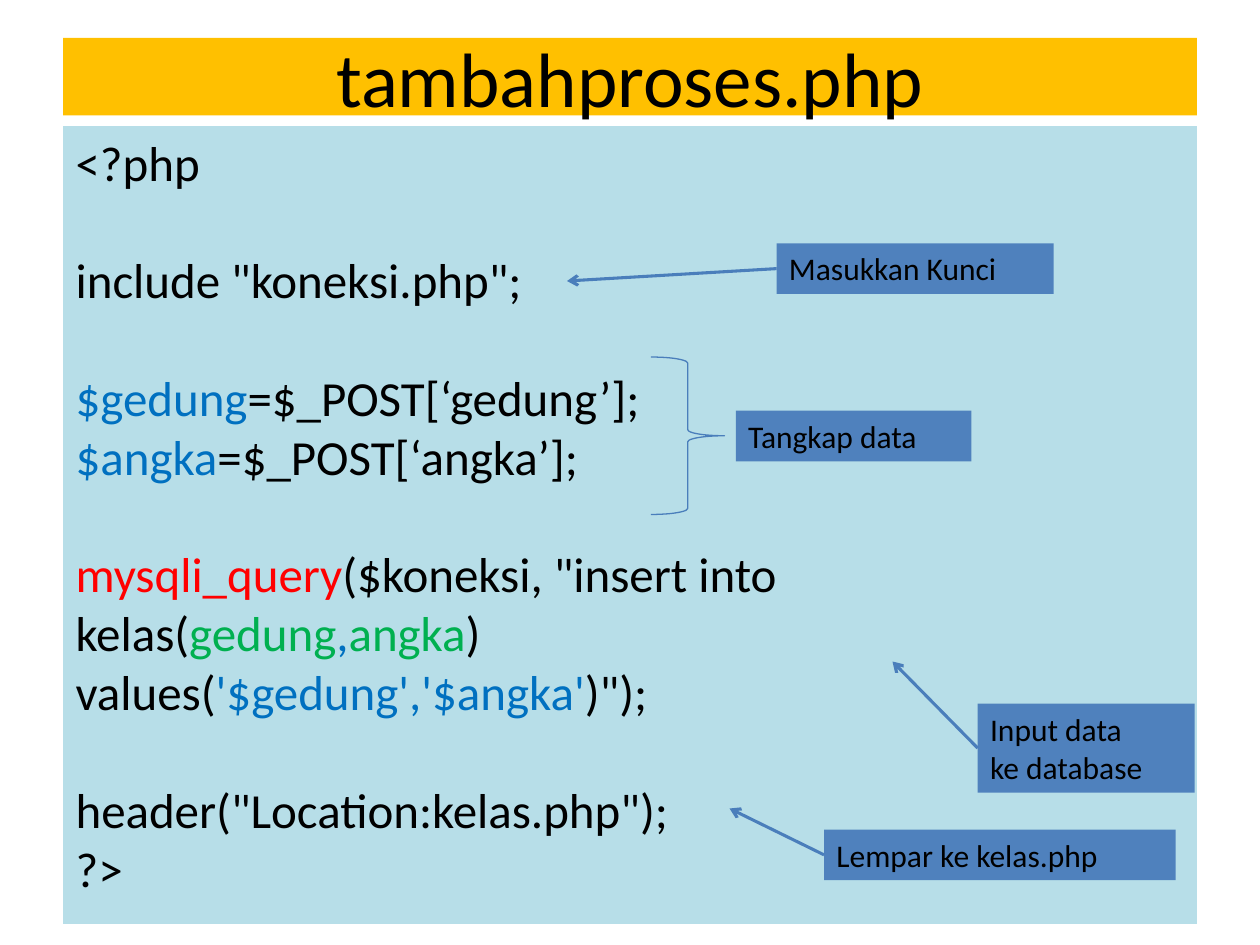
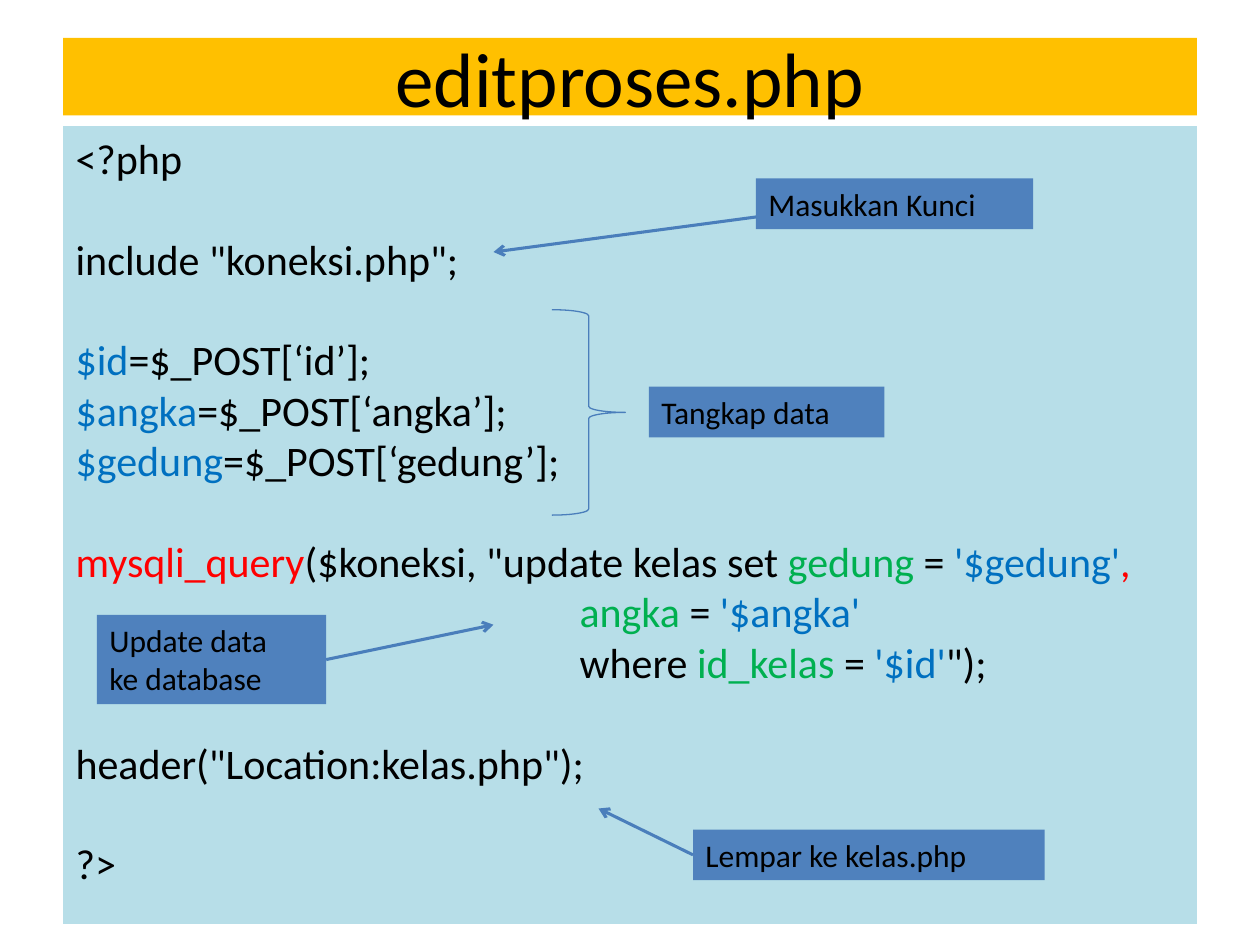
from dataclasses import dataclass

from lxml.etree import SubElement
from pptx import Presentation
from pptx.dml.color import RGBColor
from pptx.enum.shapes import MSO_CONNECTOR as Connector, MSO_SHAPE as Shape
from pptx.enum.text import MSO_ANCHOR as Anchor, MSO_AUTO_SIZE as AutoSize, PP_ALIGN as Align
from pptx.oxml.ns import qn
from pptx.util import Pt


@dataclass(frozen=True)
class Theme:
    font: str = "Calibri"
    ink: str = "000000"
    band: str = "FFC000"
    panel: str = "B7DEE8"
    note: str = "4F81BD"
    line: str = "4A7EBB"
    variable: str = "0070C0"
    function: str = "FF0000"
    column: str = "00B050"
    title_size: int = 44
    note_size: int = 18
    leading: float = 1.2
    arrow_width: float = 1.75
    brace_width: float = 0.75


THEME = Theme()


@dataclass(frozen=True)
class Line:
    spans: tuple
    gap: bool = False
    indent: int = 0


def code(*spans, gap=False, indent=0):
    pairs = tuple((span, THEME.ink) if isinstance(span, str) else span for span in spans)
    return Line(pairs, gap, indent)


def variable(text):
    return text, THEME.variable


def function(text):
    return text, THEME.function


def column(text):
    return text, THEME.column


def capture(name, gap=False):
    return code(variable(f"${name}"), f"=$_POST[‘{name}’];", gap=gap)


OPENING = [code("<?php"), code('include "koneksi.php";', gap=True)]
REDIRECT = code('header("Location:kelas.php");', gap=True)


class CodeDeck:
    def __init__(self, theme):
        self.theme = theme
        self.deck = Presentation()
        self.deck.slide_width, self.deck.slide_height = Pt(720), Pt(540)
        self.page = None

    def colour(self, value):
        return RGBColor.from_string(value)

    def place(self, shape, left, top, width, height, fill):
        shape.left, shape.top = Pt(left), Pt(top)
        shape.width, shape.height = Pt(width), Pt(height)
        shape.fill.solid()
        shape.fill.fore_color.rgb = self.colour(fill)
        frame = shape.text_frame
        frame.word_wrap = True
        frame.auto_size = AutoSize.NONE
        return frame

    def style(self, para, size):
        para.font.name = self.theme.font
        para.font.size = Pt(size)
        para.font.color.rgb = self.colour(self.theme.ink)

    def start(self, title):
        self.page = self.deck.slides.add_slide(self.deck.slide_layouts[1])
        frame = self.place(self.page.shapes.title, 36, 21.6, 648, 44.4, self.theme.band)
        frame.vertical_anchor = Anchor.MIDDLE
        para = frame.paragraphs[0]
        para.text = title
        para.alignment = Align.CENTER
        self.style(para, self.theme.title_size)

    def listing(self, lines, size):
        frame = self.place(self.page.placeholders[1], 36, 72, 648, 456, self.theme.panel)
        for number, line in enumerate(lines):
            para = frame.add_paragraph() if number else frame.paragraphs[0]
            para.space_before = Pt(size * self.theme.leading if line.gap else 0)
            properties = para._p.get_or_add_pPr()
            properties.set("marL", str(Pt(line.indent)))
            properties.set("indent", "0")
            SubElement(properties, qn("a:buNone"))
            self.style(para, size)
            for text, colour in line.spans:
                span = para.add_run()
                span.text = text
                if colour != self.theme.ink:
                    span.font.color.rgb = self.colour(colour)

    def note(self, rows, left, top, width):
        height = 29 if len(rows) == 1 else 51
        box = self.page.shapes.add_textbox(0, 0, 0, 0)
        frame = self.place(box, left, top, width, height, self.theme.note)
        for number, row in enumerate(rows):
            para = frame.add_paragraph() if number else frame.paragraphs[0]
            para.text = row
            self.style(para, self.theme.note_size)
        return box

    def arrow(self, start, end, box=None, side=None):
        points = [Pt(value) for value in (*start, *end)]
        arrow = self.page.shapes.add_connector(Connector.STRAIGHT, *points)
        if box is not None:
            arrow.begin_connect(box, side)
        arrow.line.color.rgb = self.colour(self.theme.line)
        arrow.line.width = Pt(self.theme.arrow_width)
        SubElement(arrow.line._get_or_add_ln(), qn("a:tailEnd"), type="arrow")
        SubElement(arrow._element.spPr, qn("a:effectLst"))

    def brace(self, left, top, height):
        brace = self.page.shapes.add_shape(
            Shape.RIGHT_BRACE, Pt(left), Pt(top), Pt(42), Pt(height))
        brace.adjustments[0] = 0.083
        brace.shadow.inherit = False
        brace.fill.background()
        brace.line.color.rgb = self.colour(self.theme.line)
        brace.line.width = Pt(self.theme.brace_width)

    def key_note(self, left, top):
        return self.note(["Masukkan Kunci"], left, top, 158.4)

    def capture_note(self, left, top):
        self.note(["Tangkap data"], left, top, 134.6)

    def redirect_note(self, left):
        redirect = self.note(["Lempar ke kelas.php"], left, 474, 200.9)
        self.arrow((left, 488.5), (left - 54, 462), redirect, 1)

    def save(self):
        self.deck.save("out.pptx")


def add_insert_page(deck):
    deck.start("tambahproses.php")
    deck.listing([
        *OPENING,
        capture("gedung", gap=True),
        capture("angka"),
        code(function("mysqli_query"), '($koneksi, "insert into', gap=True),
        code("kelas(", column("gedung"), variable(","), column("angka"), ")"),
        code("values(", variable("'$gedung','$angka'"), ')");'),
        REDIRECT,
        code("?>"),
    ], 28)
    key = deck.key_note(443.8, 139)
    deck.arrow((443.8, 153.5), (324, 160.6), key, 1)
    deck.capture_note(420.5, 234.7)
    deck.brace(372, 204, 90)
    insert = deck.note(["Input data", "ke database"], 558.7, 402, 124)
    deck.arrow((558.7, 427.5), (510, 378), insert, 1)
    deck.redirect_note(470.9)


def add_update_page(deck):
    deck.start("editproses.php")
    deck.listing([
        *OPENING,
        capture("id", gap=True),
        capture("angka"),
        capture("gedung"),
        code(function("mysqli_query"), '($koneksi, "update kelas set ', column("gedung"),
             " = ", variable("'$gedung'"), function(","), gap=True),
        code(column("angka"), " = ", variable("'$angka'"), indent=288),
        code("where ", column("id_kelas"), " = ", variable("'$id'"), '");', indent=288),
        REDIRECT,
        code("?>", gap=True),
    ], 24)
    deck.key_note(432, 102)
    deck.arrow((432, 124), (282, 144))
    deck.capture_note(370.8, 221)
    deck.brace(315.4, 177, 117.4)
    update = deck.note(["Update data", "ke database"], 55.4, 351.4, 131)
    deck.arrow((186.4, 376.9), (282, 357), update, 3)
    deck.redirect_note(396)


def main():
    deck = CodeDeck(THEME)
    add_insert_page(deck)
    add_update_page(deck)
    deck.save()


if __name__ == "__main__":
    main()
